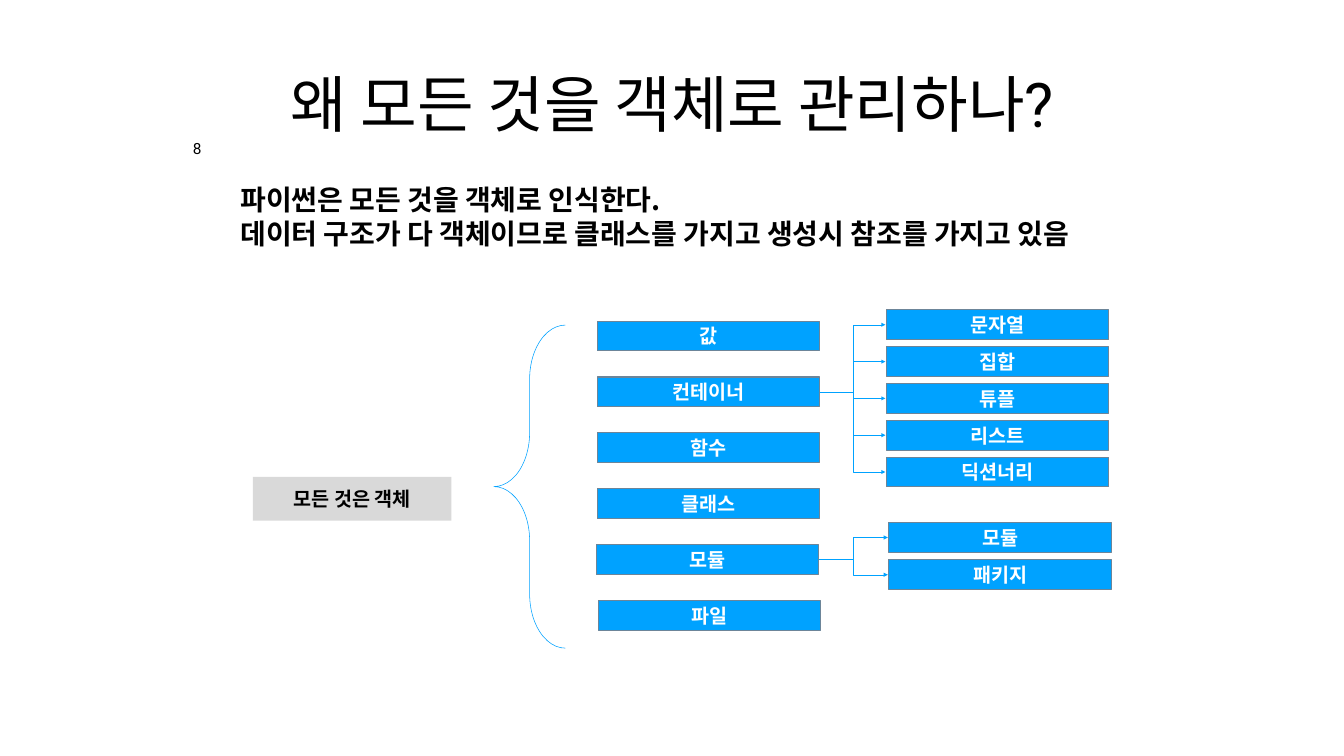
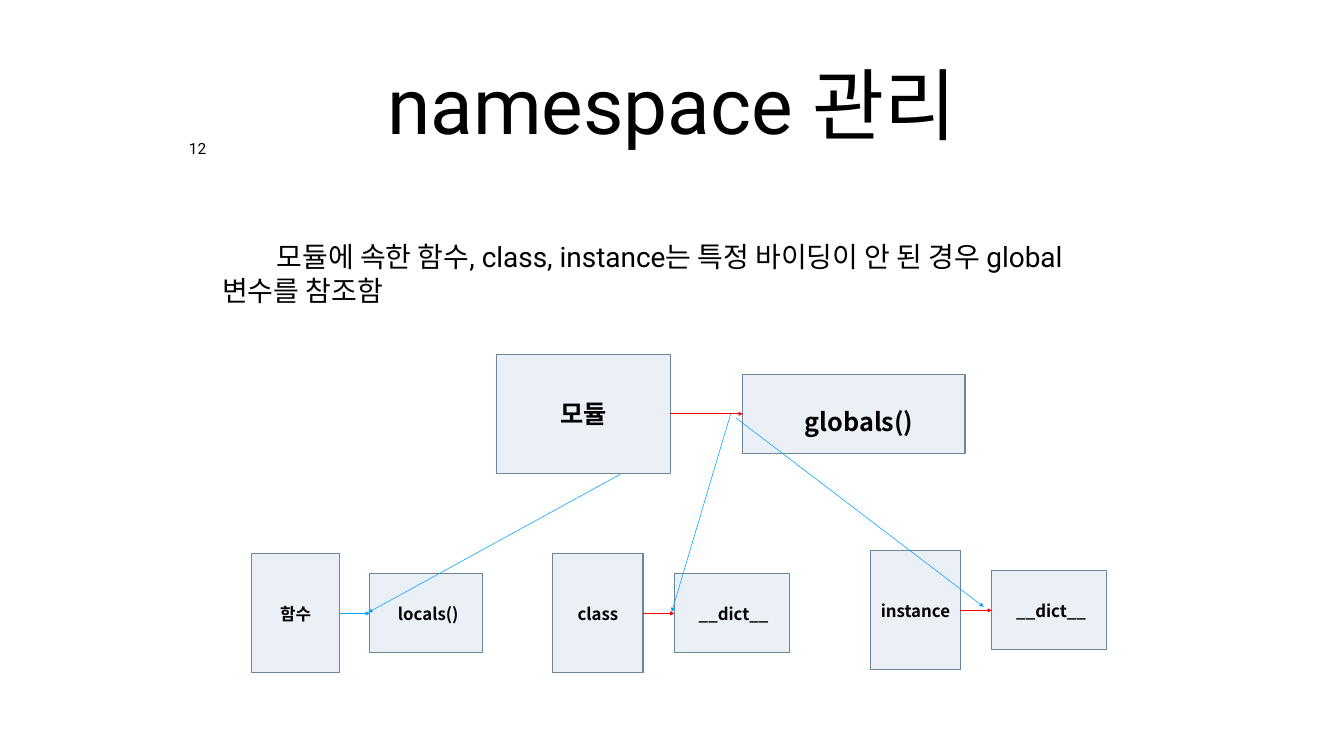
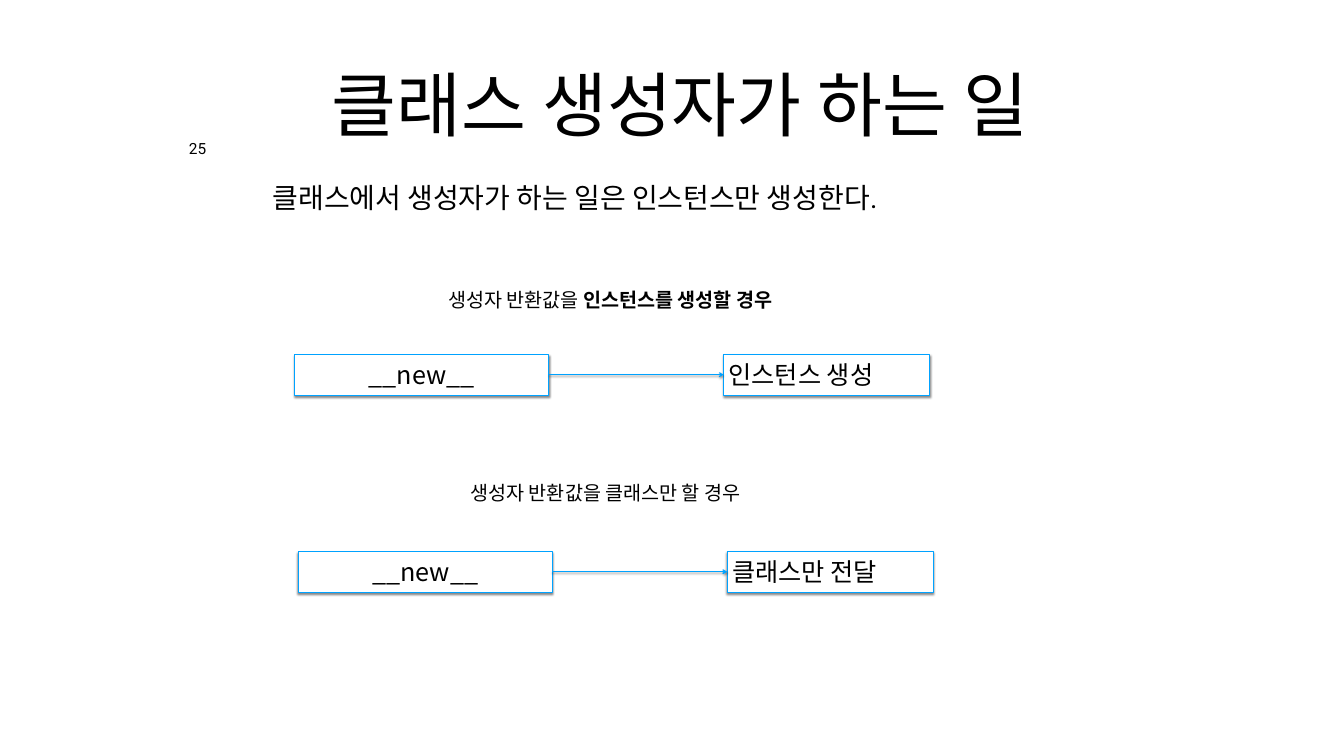
import pptx
import pptx.dml.color
import pptx.enum.shapes
import pptx.enum.text
import pptx.oxml.ns
import pptx.util
from lxml import etree
from pptx.util import Inches

COLORS = {
    "black": "000000",
    "white": "FFFFFF",
    "blue": "00A2FF",
    "red": "FF0000",
    "gray": "D9D9D9",
    "pale": "EAF0F6",
    "edge": "6C8599",
}
LATIN = "Roboto"
KOREAN = "Noto Sans CJK KR"
THIN, NORMAL = 0.79, 1.5

qn = pptx.oxml.ns.qn
SHAPES = pptx.enum.shapes.MSO_SHAPE
CONNECTORS = pptx.enum.shapes.MSO_CONNECTOR
ANCHOR = pptx.enum.text.MSO_ANCHOR
ALIGN = pptx.enum.text.PP_ALIGN


def rgb(name):
    return pptx.dml.color.RGBColor.from_string(COLORS[name])


class Deck:
    """Holds the shared style and the slide being built."""

    def __init__(self):
        self.presentation = pptx.Presentation()
        self.presentation.slide_width = Inches(26.67)
        self.presentation.slide_height = Inches(15)
        self.slide = None

    def new_slide(self, title, size, number, number_left=3.67, number_width=0.5):
        self.slide = self.presentation.slides.add_slide(self.presentation.slide_layouts[6])
        self.text(4.8, 0.39, 17.07, 3.32, [[(title, size)]], font=LATIN,
                  align=ALIGN.CENTER, anchor=ANCHOR.MIDDLE, inset=0.08)
        # No side margins, so that two digits fit on one line
        frame = self.text(number_left, 2.75, number_width, 0.45, [[(number, 22)]],
                          font=LATIN, align=ALIGN.CENTER, inset=0, inset_y=0.08)
        frame.paragraphs[0].line_spacing = 0.8

    def fill_frame(self, frame, paragraphs, font, color, align, anchor, inset, bold):
        """Each paragraph is a list of runs: (text, size) or (text, size, bold)."""
        frame.word_wrap = True
        frame.vertical_anchor = anchor
        frame.margin_left = frame.margin_right = Inches(inset[0])
        frame.margin_top = frame.margin_bottom = Inches(inset[1])
        for index, runs in enumerate(paragraphs):
            paragraph = frame.add_paragraph() if index else frame.paragraphs[0]
            paragraph.alignment = align
            for text, size, *own_bold in runs:
                run = paragraph.add_run()
                run.text = text
                run.font.size = pptx.util.Pt(size)
                run.font.name = font
                run.font.bold = own_bold[0] if own_bold else bold
                run.font.color.rgb = rgb(color)
                east_asian = etree.Element(qn("a:ea"), typeface=KOREAN)
                run.font._element.find(qn("a:latin")).addnext(east_asian)

    def text(self, left, top, width, height, paragraphs, font=KOREAN, align=ALIGN.LEFT,
             anchor=ANCHOR.TOP, inset=0.1, inset_y=None, bold=False):
        box = self.slide.shapes.add_textbox(
            Inches(left), Inches(top), Inches(width), Inches(height))
        margins = (inset, inset if inset_y is None else inset_y)
        self.fill_frame(box.text_frame, paragraphs, font, "black", align, anchor, margins, bold)
        return box.text_frame

    def body(self, height, runs, anchor):
        frame = self.text(4.33, 3.5, 18, height, [runs], font=LATIN, anchor=anchor, inset=0.08)
        properties = frame.paragraphs[0]._p.get_or_add_pPr()
        properties.set("marL", "0")
        properties.set("indent", str(Inches(1)))

    def box(self, left, top, width, height, runs, fill, line=None, color="black",
            align=ALIGN.CENTER, bold=True, shadow=False):
        shape = self.slide.shapes.add_shape(
            SHAPES.RECTANGLE, Inches(left), Inches(top), Inches(width), Inches(height))
        shape.fill.solid()
        shape.fill.fore_color.rgb = rgb(fill)
        if line:
            shape.line.color.rgb = rgb(line)
            shape.line.width = pptx.util.Pt(NORMAL)
        else:
            shape.line.fill.background()
        self.set_shadow(shape, shadow)
        self.fill_frame(shape.text_frame, [runs], KOREAN, color, align,
                        ANCHOR.MIDDLE, (0.1, 0), bold)

    def brace(self, left, top, width, height):
        shape = self.slide.shapes.add_shape(
            SHAPES.LEFT_BRACE, Inches(left), Inches(top), Inches(width), Inches(height))
        shape.adjustments[0] = 0.755
        shape.fill.background()
        shape.line.color.rgb = rgb("blue")
        shape.line.width = pptx.util.Pt(THIN)
        self.set_shadow(shape, False)

    def arrow(self, start, end, color="blue", width=THIN, kind=CONNECTORS.STRAIGHT,
              head="triangle", shadow=False):
        connector = self.slide.shapes.add_connector(
            kind, *(Inches(value) for value in (*start, *end)))
        connector.line.color.rgb = rgb(color)
        connector.line.width = pptx.util.Pt(width)
        line = connector.element.spPr.find(qn("a:ln"))
        etree.SubElement(line, qn("a:tailEnd"), type=head)
        self.set_shadow(connector, shadow)

    def set_shadow(self, shape, visible):
        properties = shape.element.spPr
        effects = etree.SubElement(properties, qn("a:effectLst"))
        if visible:
            outer = etree.SubElement(
                effects, qn("a:outerShdw"), blurRad=str(pptx.util.Pt(3)),
                dist=str(pptx.util.Pt(2.4)), dir="5400000", rotWithShape="0")
            color = etree.SubElement(outer, qn("a:srgbClr"), val=COLORS["black"])
            etree.SubElement(color, qn("a:alpha"), val="45000")


def build_objects(deck):
    deck.new_slide("왜 모든 것을 객체로 관리하나?", 88, "8", 3.75, 0.33)
    deck.text(4.67, 3.57, 17.48, 2.12, [
        [("파이썬은 모든 것을 객체로 인식한다.", 40)],
        [("데이터 구조가 다 객체이므로 클래스를 가지고 생성시 참조를 가지고 있음", 40)],
    ], inset_y=0.05, bold=True)
    deck.box(5.02, 9.46, 3.94, 0.87, [("모든 것은 객체", 28)], "gray")
    deck.brace(9.8, 6.45, 1.42, 6.41)

    width, height = 4.41, 0.59

    def column(left, top, step, labels):
        for index, label in enumerate(labels):
            deck.box(left, top + index * step, width, height, [(label, 28)],
                     "blue", "edge", "white")

    # Kinds of object
    first_top, step = 6.37, 1.11
    column(11.85, first_top, step, ["값", "컨테이너", "함수", "클래스"])
    column(11.83, first_top + 4 * step, step, ["모듈"])
    column(11.87, first_top + 5 * step, step, ["파일"])

    # Branches: parent left and row, then the child column
    branches = [
        (11.85, 1, 17.59, 6.15, 0.73, ["문자열", "집합", "튜플", "리스트", "딕션너리"]),
        (11.83, 4, 17.64, 10.37, 0.74, ["모듈", "패키지"]),
    ]
    for parent_left, row, left, top, child_step, labels in branches:
        column(left, top, child_step, labels)
        start = (parent_left + width + 0.02, first_top + row * step + height / 2)
        for index in range(len(labels)):
            end = (left - 0.02, top + index * child_step + height / 2)
            deck.arrow(start, end, kind=CONNECTORS.ELBOW)


def build_namespaces(deck):
    deck.new_slide("namespace 관리", 112, "12")
    deck.body(3.84, [
        (" ", 26),
        ("모듈에 속한 함수, class, instance는 특정 바이딩이 안 된 경우 global 변수를 참조함", 40),
    ], ANCHOR.MIDDLE)

    # Owner box, its namespace box and the arrow between them
    owner_height, space_height = 2.36, 1.57
    pairs = [
        (8.21, 9.85, 3.45, [("모듈", 36)], 14.74, 4.41, [(" ", 64), ("globals()", 36)], "red"),
        (12.17, 4.99, 1.75, [("함수", 24)], 7.34, 2.24, [(" locals()", 24)], "blue"),
        (12.17, 10.97, 1.79, [("class", 24)], 13.38, 2.28, [(" __dict__", 24)], "red"),
        (12.11, 17.27, 1.79, [("instance", 24)], 19.68, 2.28, [(" __dict__", 24)], "red"),
    ]
    for middle, left, width, owner, space_left, space_width, space, color in pairs:
        deck.box(left, middle - owner_height / 2, width, owner_height, owner, "pale", "edge")
        deck.box(space_left, middle - space_height / 2, space_width, space_height,
                 space, "pale", "edge")
        deck.arrow((left + width, middle), (space_left, middle), color)

    # References from the module down to each namespace
    deck.arrow((12.31, 9.41), (7.31, 12.15))
    deck.arrow((14.5, 8.21), (13.33, 12.14))
    deck.arrow((14.6, 8.29), (19.52, 12.04))


def build_constructor(deck):
    deck.new_slide(" 클래스 생성자가 하는 일", 100.8, "25")
    deck.body(2.74, [("클래스에서 생성자가 하는 일은 인스턴스만 생성한다.", 40)], ANCHOR.TOP)

    # Captions
    deck.text(8.8, 5.62, 8.18, 0.67,
              [[("생성자 반환값을 ", 28), ("인스턴스를 생성할 경우", 28, True)]])
    deck.text(9.24, 9.45, 6.91, 0.67, [[("생성자 반환값을 클래스만 할 경우", 28)]])

    # Constructor and its result
    width, height, gap = 5.04, 0.81, 3.47
    for left, top, result in [(5.85, 7.03, "인스턴스 생성"), (5.92, 10.94, "클래스만 전달")]:
        result_left = left + width + gap
        middle = top + height / 2
        deck.box(left, top, width, height, [("__new__", 36)], "white", "blue",
                 bold=False, shadow=True)
        deck.box(result_left, top, 4.09, height, [(result, 36)], "white", "blue",
                 align=ALIGN.LEFT, bold=False, shadow=True)
        deck.arrow((left + width, middle), (result_left, middle), width=NORMAL,
                   head="arrow", shadow=True)


def main():
    deck = Deck()
    build_objects(deck)
    build_namespaces(deck)
    build_constructor(deck)
    deck.presentation.save("out.pptx")


if __name__ == "__main__":
    main()
